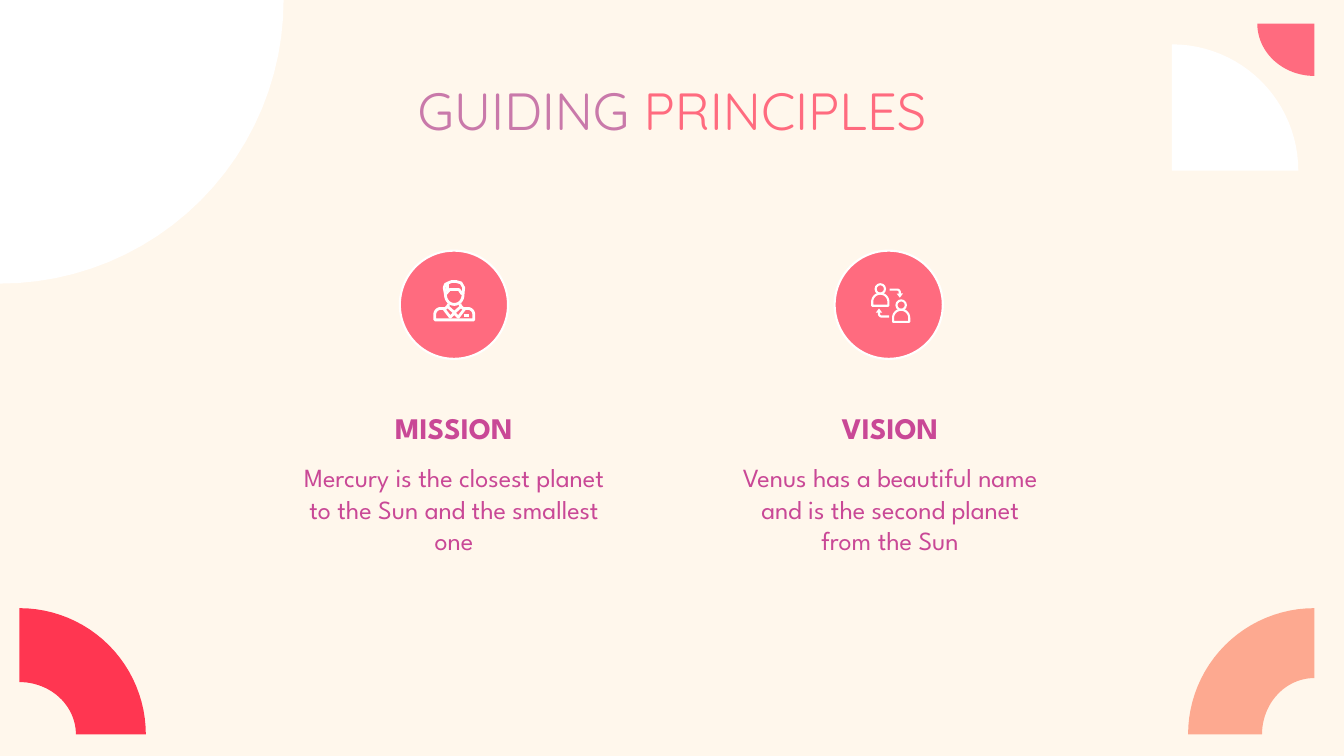
import math

import pptx
import pptx.dml.color
import pptx.enum.shapes
import pptx.enum.text
import pptx.util
from lxml import etree
from pptx.oxml.ns import qn
from pptx.util import Inches

COLORS = {
    "cream": "FFF7EC",
    "white": "FFFFFF",
    "pink": "FF6B7F",
    "peach": "FDA990",
    "red": "FF3651",
    "mauve": "C979AA",
    "purple": "C94896",
}
COLUMNS = [
    (4.26, "MISSION", "Mercury is the closest planet to the Sun and the smallest one"),
    (10.75, "VISION", "Venus has a beautiful name and is the second planet from the Sun"),
]


def rgb(name):
    return pptx.dml.color.RGBColor.from_string(COLORS[name])


def arc(cx, cy, rx, ry, start, end, steps=24):
    angles = [math.radians(start + (end - start) * i / steps) for i in range(steps + 1)]
    return [(cx + rx * math.cos(a), cy + ry * math.sin(a)) for a in angles]


def add_outline(shapes, points, close):
    start, *rest = [(Inches(x), Inches(y)) for x, y in points]
    builder = shapes.build_freeform(*start)
    builder.add_line_segments(rest, close=close)
    sp = builder.convert_to_shape()
    sp.shadow.inherit = False
    return sp


def add_quarter(s, center, outer, inner, start, color):
    points = arc(*center, *outer, start, start + 90)
    points += arc(*center, *inner, start + 90, start) if inner else [center]
    sp = add_outline(s.shapes, points, True)
    sp.fill.solid()
    sp.fill.fore_color.rgb = rgb(color)
    sp.line.fill.background()


def style_stroke(sp, width):
    sp.line.color.rgb = rgb("white")
    sp.line.width = pptx.util.Pt(width)


def add_stroke(shapes, points, width, close=False, arrow=False):
    sp = add_outline(shapes, points, close)
    sp.fill.background()
    style_stroke(sp, width)
    if arrow:
        etree.SubElement(sp.line._get_or_add_ln(), qn("a:tailEnd"),
                         type="triangle", w="med", len="sm")


def add_ellipse(shapes, x, y, size, width, color=None):
    sp = shapes.add_shape(pptx.enum.shapes.MSO_SHAPE.OVAL,
                          Inches(x), Inches(y), Inches(size), Inches(size))
    sp.shadow.inherit = False
    if color:
        sp.fill.solid()
        sp.fill.fore_color.rgb = rgb(color)
    else:
        sp.fill.background()
    style_stroke(sp, width)


def add_badge(s, x):
    shapes = s.shapes.add_group_shape().shapes
    add_ellipse(shapes, x, 3.73, 1.61, 2.25, "pink")
    return shapes


def add_manager_icon(s):
    shapes = add_badge(s, 5.95)
    mid = 6.76
    hair = [(6.61, 4.28), (6.63, 4.23), (6.67, 4.21), (6.72, 4.19),
            (6.79, 4.19), (6.86, 4.21), (6.9, 4.28)]
    add_stroke(shapes, arc(mid, 4.39, 0.13, 0.14, 0, 180) + hair, 3, close=True)
    add_stroke(shapes, [(6.63, 4.38), (6.69, 4.31), (6.83, 4.31), (6.88, 4.38)], 3)
    add_stroke(shapes, [(6.66, 4.22), (6.66, 4.33)], 3)
    left = [(6.67, 4.52), (6.67, 4.55), (6.63, 4.59)]
    left += arc(6.56, 4.68, 0.09, 0.09, 270, 180) + [(6.47, 4.76)]
    right = [(2 * mid - x, y) for x, y in reversed(left)]
    add_stroke(shapes, left + right, 3)
    add_stroke(shapes, [(6.6, 4.59), (6.7, 4.72), (mid, 4.66), (6.82, 4.72), (6.92, 4.59)], 3)
    add_stroke(shapes, [(6.67, 4.57), (mid, 4.65), (6.85, 4.57)], 3)
    pocket = shapes.add_connector(pptx.enum.shapes.MSO_CONNECTOR.STRAIGHT,
                                  Inches(6.9), Inches(4.69), Inches(6.98), Inches(4.69))
    style_stroke(pocket, 3)
    etree.SubElement(pocket._element.spPr, qn("a:effectLst"))


def add_exchange_icon(s):
    shapes = add_badge(s, 12.42)
    for x, y in [(13.1, 4.3), (13.41, 4.54)]:
        add_ellipse(shapes, x - 0.07, y - 0.07, 0.14, 2.25)
        body = arc(x, y + 0.19, 0.12, 0.12, 180, 360)
        body += [(x + 0.12, y + 0.25), (x - 0.12, y + 0.25)]
        add_stroke(shapes, body, 2.25, close=True)
    down = [(13.24, 4.31)] + arc(13.35, 4.35, 0.04, 0.04, 270, 360) + [(13.39, 4.43)]
    up = [(13.23, 4.71)] + arc(13.12, 4.67, 0.04, 0.04, 90, 180) + [(13.08, 4.59)]
    for points in (down, up):
        add_stroke(shapes, points, 2.25, arrow=True)


def format_frame(tf):
    tf.word_wrap = True
    tf.auto_size = pptx.enum.text.MSO_AUTO_SIZE.NONE
    tf.vertical_anchor = pptx.enum.text.MSO_ANCHOR.TOP
    tf.margin_left = tf.margin_right = tf.margin_top = tf.margin_bottom = Inches(0.2)
    tf.paragraphs[0].alignment = pptx.enum.text.PP_ALIGN.CENTER


def format_run(r, font, size, color, bold=False):
    r.font.name = font
    r.font.size = pptx.util.Pt(size)
    r.font.bold = bold
    r.font.color.rgb = rgb(color)


def add_title(s):
    sp = s.shapes.title
    sp.left, sp.top, sp.width, sp.height = map(Inches, (0.68, 0.97, 18.64, 1.25))
    format_frame(sp.text_frame)
    for text, color in [("GUIDING ", "mauve"), ("PRINCIPLES", "pink")]:
        r = sp.text_frame.paragraphs[0].add_run()
        r.text = text
        format_run(r, "Quicksand", 56, color)


def add_label(s, x, y, height, text, size, bold=False):
    tf = s.shapes.add_textbox(Inches(x), Inches(y), Inches(4.99), Inches(height)).text_frame
    tf.text = text
    format_frame(tf)
    format_run(tf.paragraphs[0].runs[0], "League Spartan", size, "purple", bold)


def main():
    prs = pptx.Presentation()
    prs.slide_width, prs.slide_height = Inches(20), Inches(11.25)
    s = prs.slides.add_slide(prs.slide_layouts[5])
    s.background.fill.solid()
    s.background.fill.fore_color.rgb = rgb("cream")
    add_quarter(s, (0, 0), (4.22, 4.22), None, 0, "white")
    add_quarter(s, (19.56, 0.35), (0.85, 0.78), None, 90, "pink")
    add_quarter(s, (17.44, 2.54), (1.88, 1.88), None, 270, "white")
    add_quarter(s, (19.56, 10.93), (1.88, 1.88), (0.78, 0.84), 180, "peach")
    add_quarter(s, (0.29, 10.93), (1.88, 1.88), (0.84, 0.78), 270, "red")
    add_title(s)
    for x, heading, body in COLUMNS:
        add_label(s, x, 6.67, 1.92, body, 28)
        add_label(s, x, 5.89, 0.85, heading, 32, True)
    add_exchange_icon(s)
    add_manager_icon(s)
    prs.save("out.pptx")


if __name__ == "__main__":
    main()
